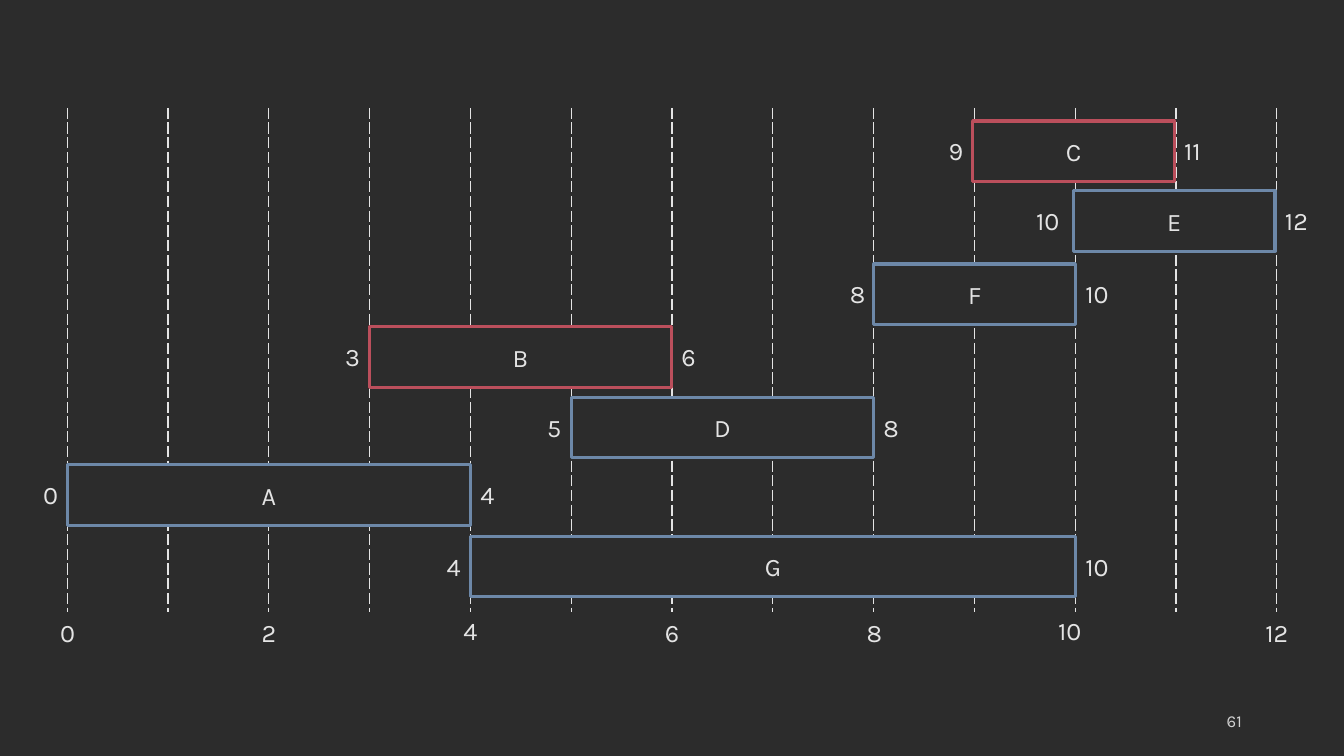
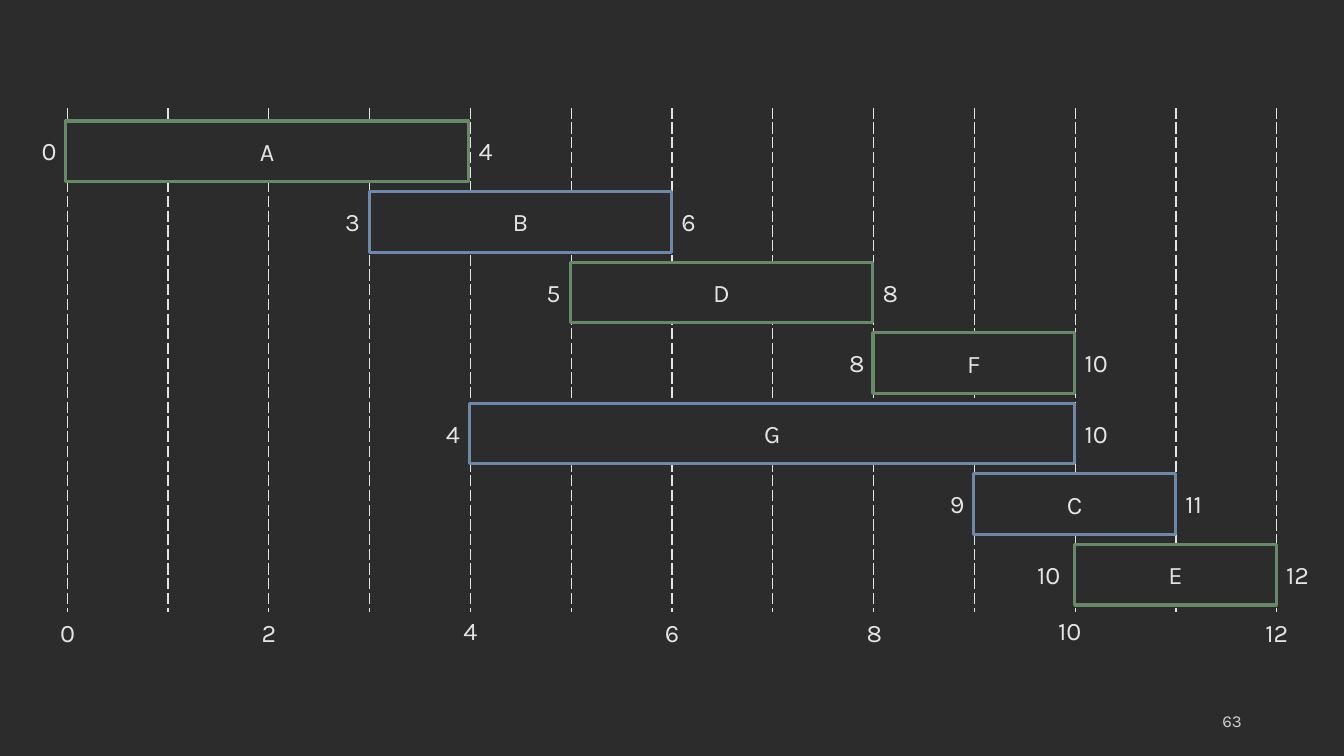
from lxml import etree
from pptx import Presentation
from pptx.dml.color import RGBColor
from pptx.enum.shapes import MSO_SHAPE
from pptx.enum.text import MSO_ANCHOR, MSO_AUTO_SIZE, PP_ALIGN
from pptx.oxml.ns import qn
from pptx.util import Pt

RECT = MSO_SHAPE.RECTANGLE
MIDDLE = MSO_ANCHOR.MIDDLE
LEFT, CENTER, RIGHT = PP_ALIGN.LEFT, PP_ALIGN.CENTER, PP_ALIGN.RIGHT
FIT_SHAPE, NO_FIT = MSO_AUTO_SIZE.SHAPE_TO_FIT_TEXT, MSO_AUTO_SIZE.NONE

# Content: bars are (name, start, end, top, colour, left nudge)
COLORS = {"bg": "2C2C2C", "text": "E4E4E4", "number": "D1D1D1",
          "blue": "6D88A8", "red": "BB4F5C", "green": "668A68"}
FONT = "Karla"
FIRST_ROW, ROW_PITCH = 86.4, 50.4

MIXED_BARS = [
    ("A", 0, 4, 332, "blue", 0),
    ("B", 3, 6, 233.3, "red", -0.3),
    ("D", 5, 8, 283.7, "blue", 0),
    ("F", 8, 10, 188.6, "blue", 0.2),
    ("E", 10, 12, 136.1, "blue", -1.2),
    ("G", 4, 10, 383, "blue", 0.2),
    ("C", 9, 11, FIRST_ROW, "red", -1.2),
]
SORTED_INTERVALS = [
    ("A", 0, 4, "green", -1.2),
    ("B", 3, 6, "blue", -0.3),
    ("D", 5, 8, "green", -0.6),
    ("F", 8, 10, "green", -0.4),
    ("G", 4, 10, "blue", -0.4),
    ("C", 9, 11, "blue", -0.4),
    ("E", 10, 12, "green", -0.4),
]
SORTED_BARS = [(name, start, end, FIRST_ROW + row * ROW_PITCH, color, nudge)
               for row, (name, start, end, color, nudge) in enumerate(SORTED_INTERVALS)]
SLIDES = [("61", MIXED_BARS), ("63", SORTED_BARS)]

# Time grid, in points
UNIT, HOURS = 72, 12
GRID_LEFT, GRID_TOP, GRID_HEIGHT = 48, 77, 360
BAR_HEIGHT, LABEL_HEIGHT, LABEL_DROP = 43.4, 29, 7
AXIS_TOP = 437.3
AXIS_NUDGES = {4: (0, -1.7), 10: (-2.4, -1), 12: (1.6, 0)}


def rgb(name):
    return RGBColor.from_string(COLORS[name])


def write(sp, text, size=18, color="text", align=LEFT):
    p = sp.text_frame.paragraphs[0]
    p.text = text
    p.alignment = align
    p.font.name, p.font.size = FONT, Pt(size)
    p.font.color.rgb = rgb(color)


def label_width(value):
    return 33.8 if value >= 10 else 24.2


def add_label(shapes, value, left, top):
    sp = shapes.add_textbox(Pt(left), Pt(top), Pt(label_width(value)), Pt(LABEL_HEIGHT))
    sp.text_frame.word_wrap = False
    sp.text_frame.auto_size = FIT_SHAPE
    write(sp, str(value))


def add_bar(slide, name, start, end, top, color, nudge):
    shapes = slide.shapes.add_group_shape().shapes
    left, width = GRID_LEFT + start * UNIT + nudge, (end - start) * UNIT
    sp = shapes.add_shape(RECT, Pt(left), Pt(top), Pt(width), Pt(BAR_HEIGHT))
    sp.shadow.inherit = False
    sp.fill.solid()
    sp.fill.fore_color.rgb = rgb("bg")
    sp.line.color.rgb = rgb(color)
    sp.line.width = Pt(2.25)
    sp.text_frame.vertical_anchor = MIDDLE
    write(sp, name, align=CENTER)
    add_label(shapes, start, left - label_width(start), top + LABEL_DROP)
    add_label(shapes, end, left + width, top + LABEL_DROP)


def set_borders(cell):
    tc_pr = cell._tc.get_or_add_tcPr()
    for i, side in enumerate(("lnL", "lnR", "lnT", "lnB")):
        ln = etree.Element(qn("a:" + side), w=str(Pt(1)))
        tc_pr.insert(i, ln)
        if side in ("lnL", "lnR"):
            fill = etree.SubElement(ln, qn("a:solidFill"))
            etree.SubElement(fill, qn("a:srgbClr"), val=COLORS["text"])
            etree.SubElement(ln, qn("a:prstDash"), val="lgDash")
        else:
            etree.SubElement(ln, qn("a:noFill"))


def add_grid(slide):
    table = slide.shapes.add_table(1, HOURS, Pt(GRID_LEFT), Pt(GRID_TOP),
                                   Pt(HOURS * UNIT), Pt(GRID_HEIGHT)).table
    table.first_row = table.horz_banding = False
    for cell in table.iter_cells():
        cell.fill.background()
        set_borders(cell)


def add_axis(slide):
    shapes = slide.shapes.add_group_shape().shapes
    for hour in range(0, HOURS + 1, 2):
        dx, dy = AXIS_NUDGES.get(hour, (0, 0))
        center = GRID_LEFT + hour * UNIT + dx
        add_label(shapes, hour, center - label_width(hour) / 2, AXIS_TOP + dy)


def add_page_number(slide, number):
    sp = slide.shapes.add_textbox(Pt(678.2), Pt(500.4), Pt(216), Pt(28.8))
    tf = sp.text_frame
    tf.word_wrap = True
    tf.auto_size = NO_FIT
    tf.vertical_anchor = MIDDLE
    write(sp, number, 12, "number", RIGHT)


def main():
    prs = Presentation()
    prs.slide_width, prs.slide_height = Pt(960), Pt(540)
    # Shared background
    background = prs.slide_master.background.fill
    background.solid()
    background.fore_color.rgb = rgb("bg")
    blank = prs.slide_layouts[6]

    for number, bars in SLIDES:
        slide = prs.slides.add_slide(blank)
        add_page_number(slide, number)
        add_grid(slide)
        for bar in bars:
            add_bar(slide, *bar)
        add_axis(slide)
    prs.save("out.pptx")


if __name__ == "__main__":
    main()
